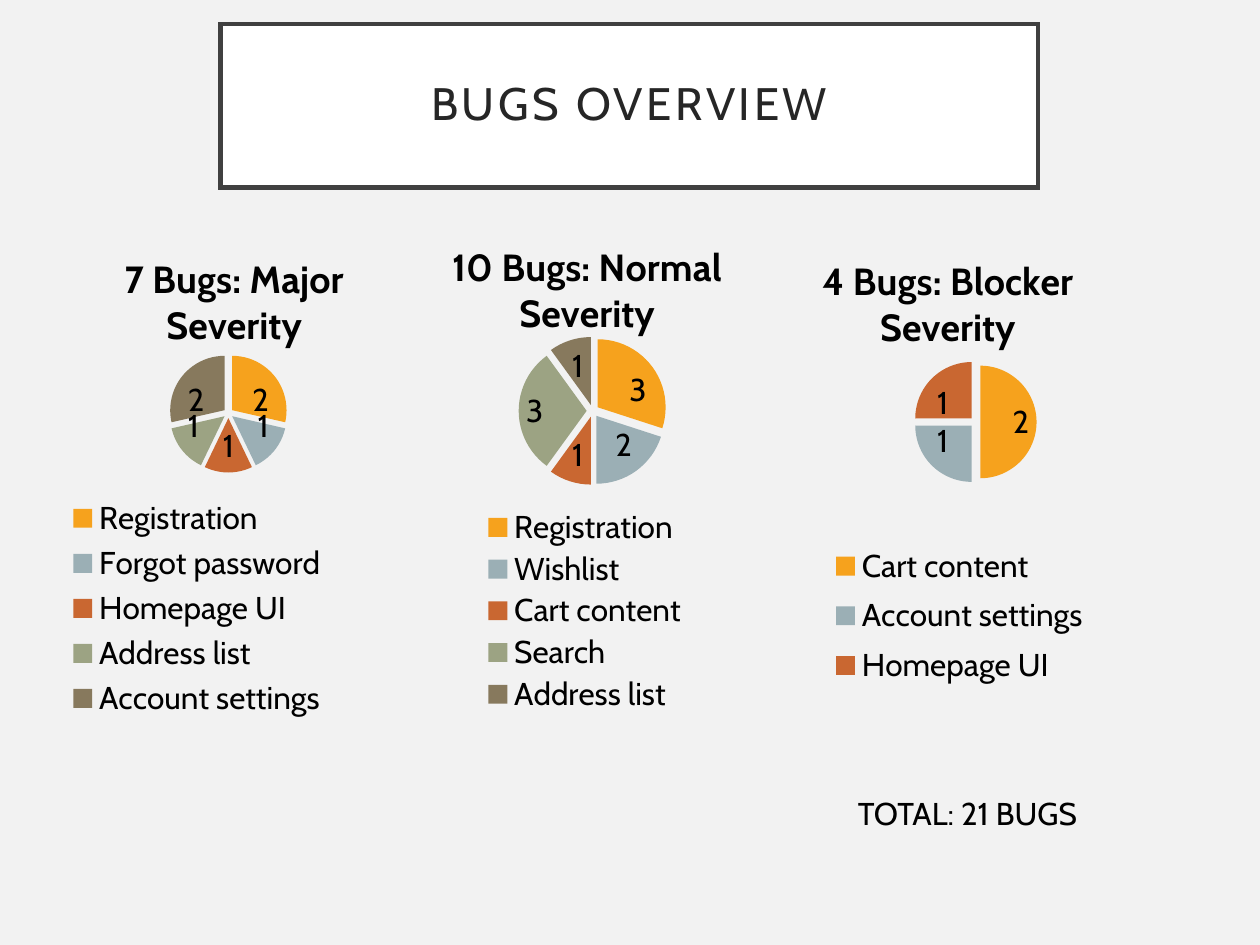
from lxml import etree
from pptx import Presentation
from pptx.chart.data import CategoryChartData
from pptx.dml.color import RGBColor
from pptx.enum.chart import XL_CHART_TYPE, XL_LABEL_POSITION, XL_LEGEND_POSITION
from pptx.enum.shapes import MSO_SHAPE
from pptx.enum.text import MSO_ANCHOR, MSO_AUTO_SIZE, PP_ALIGN
from pptx.oxml.ns import qn
from pptx.util import Inches, Pt

PIE = XL_CHART_TYPE.PIE
INSIDE_END = XL_LABEL_POSITION.INSIDE_END
BOTTOM = XL_LEGEND_POSITION.BOTTOM
RECT = MSO_SHAPE.RECTANGLE
MIDDLE = MSO_ANCHOR.MIDDLE
FIT_SHAPE = MSO_AUTO_SIZE.SHAPE_TO_FIT_TEXT
CENTER = PP_ALIGN.CENTER

WIDTH, HEIGHT = 10, 7.5
COLS, ROWS = 100, 75
FONT = "Cabin"
COLORS = {
    "background": "F2F2F2",
    "panel": "FFFFFF",
    "border": "404040",
    "heading": "262626",
    "text": "000000",
}
SLICES = ["F6A21D", "9BAFB5", "C96731", "9CA383", "87795D"]


def rgb(name):
    return RGBColor.from_string(COLORS[name])


class Deck:
    def __init__(self):
        self.prs = Presentation()
        self.prs.slide_width = Inches(WIDTH)
        self.prs.slide_height = Inches(HEIGHT)
        self.slide = self.prs.slides.add_slide(self.prs.slide_layouts[6])
        fill = self.slide.background.fill
        fill.solid()
        fill.fore_color.rgb = rgb("background")

    def box(self, x, y, w, h):
        col, row = WIDTH / COLS, HEIGHT / ROWS
        return Inches(x * col), Inches(y * row), Inches(w * col), Inches(h * row)

    def style(self, font, size, color="text", bold=False):
        font.name = FONT
        font.size = Pt(size)
        font.bold = bold
        font.color.rgb = rgb(color)

    def heading(self, text, at):
        sp = self.slide.shapes.add_shape(RECT, *self.box(*at))
        sp.shadow.inherit = False
        sp.fill.solid()
        sp.fill.fore_color.rgb = rgb("panel")
        sp.line.color.rgb = rgb("border")
        sp.line.width = Pt(2.5)
        line = sp._element.spPr.find(qn("a:ln"))
        etree.SubElement(line, qn("a:miter")).set("lim", "800000")
        tf = sp.text_frame
        tf.text = text
        tf.word_wrap = True
        tf.vertical_anchor = MIDDLE
        tf.margin_left = tf.margin_right = Inches(0.2)
        tf.margin_top = tf.margin_bottom = Inches(0.2)
        p = tf.paragraphs[0]
        p.alignment = CENTER
        p.line_spacing = 0.9
        r = p.runs[0]
        self.style(r.font, 26, "heading")
        r.font._element.set("spc", "200")

    def text(self, text, at):
        sp = self.slide.shapes.add_textbox(*self.box(*at))
        tf = sp.text_frame
        tf.text = text
        tf.word_wrap = True
        tf.auto_size = FIT_SHAPE
        self.style(tf.paragraphs[0].runs[0].font, 18)

    def place(self, parent, after, shares, inner=False):
        for old in parent.findall(qn("c:layout")):
            parent.remove(old)
        layout = etree.Element(qn("c:layout"))
        manual = etree.SubElement(layout, qn("c:manualLayout"))
        settings = [("layoutTarget", "inner")] if inner else []
        settings += [("xMode", "edge"), ("yMode", "edge")]
        settings += zip("xywh", shares)
        for tag, value in settings:
            etree.SubElement(manual, qn(f"c:{tag}")).set("val", str(value))
        if after:
            parent.find(qn(after)).addnext(layout)
        else:
            parent.insert(0, layout)

    def pie(self, title, counts, at, title_at, plot_at, legend_at):
        data = CategoryChartData()
        data.categories = list(counts)
        data.add_series(title, list(counts.values()))
        chart = self.slide.shapes.add_chart(PIE, *self.box(*at), data).chart
        self.style(chart.font, 18)

        chart.has_title = True
        tf = chart.chart_title.text_frame
        tf.text = title
        self.style(tf.paragraphs[0].runs[0].font, 21.6, bold=True)
        chart.chart_title.include_in_layout = False
        self.place(chart.chart_title._element, "c:tx", title_at)

        chart.has_legend = True
        chart.legend.position = BOTTOM
        chart.legend.include_in_layout = False
        self.style(chart.legend.font, 18)
        self.place(chart.legend._element, "c:legendPos", legend_at)

        plot = chart.plots[0]
        plot.vary_by_categories = True
        self.place(plot._element.getparent(), None, plot_at, inner=True)
        plot.has_data_labels = True
        labels = plot.data_labels
        labels.show_value = True
        labels.show_percentage = False
        labels.position = INSIDE_END
        self.style(labels.font, 18)

        series = plot.series[0]
        for i, color in enumerate(SLICES[:len(counts)]):
            fill = series.points[i].format.fill
            fill.solid()
            fill.fore_color.rgb = RGBColor.from_string(color)
        explosion = etree.Element(qn("c:explosion"))
        explosion.set("val", "9")
        series._element.find(qn("c:dPt")).addprevious(explosion)


def main():
    deck = Deck()
    deck.heading("BUGS OVERVIEW", (17.5, 1.9, 64.9, 13))
    deck.pie(
        "10 Bugs: Normal Severity",
        {"Registration": 3, "Wishlist": 2, "Cart content": 1, "Search": 3, "Address list": 1},
        at=(30.8, 18.5, 32.5, 39.2),
        title_at=(0.14, 0),
        plot_at=(0.22, 0.21, 0.56, 0.3),
        legend_at=(0.21, 0.55, 0.54, 0.43),
    )
    deck.pie(
        "7 Bugs: Major Severity",
        {"Registration": 2, "Forgot password": 1, "Homepage UI": 1, "Address list": 1,
         "Account settings": 2},
        at=(4.6, 18.3, 27.9, 39.2),
        title_at=(0.17, 0.03),
        plot_at=(0.05, 0.25, 0.87, 0.24),
        legend_at=(0.02, 0.53, 0.75, 0.47),
    )
    deck.pie(
        "4 Bugs: Blocker Severity",
        {"Cart content": 2, "Account settings": 1, "Homepage UI": 1},
        at=(62.5, 18.5, 31.7, 37.5),
        title_at=(0.07, 0.03),
        plot_at=(0.15, 0.27, 0.64, 0.26),
        legend_at=(0.09, 0.64, 0.68, 0.34),
    )
    deck.text("TOTAL: 21 BUGS", (67.1, 62.5, 22.5, 4))
    deck.prs.save("out.pptx")


if __name__ == "__main__":
    main()
